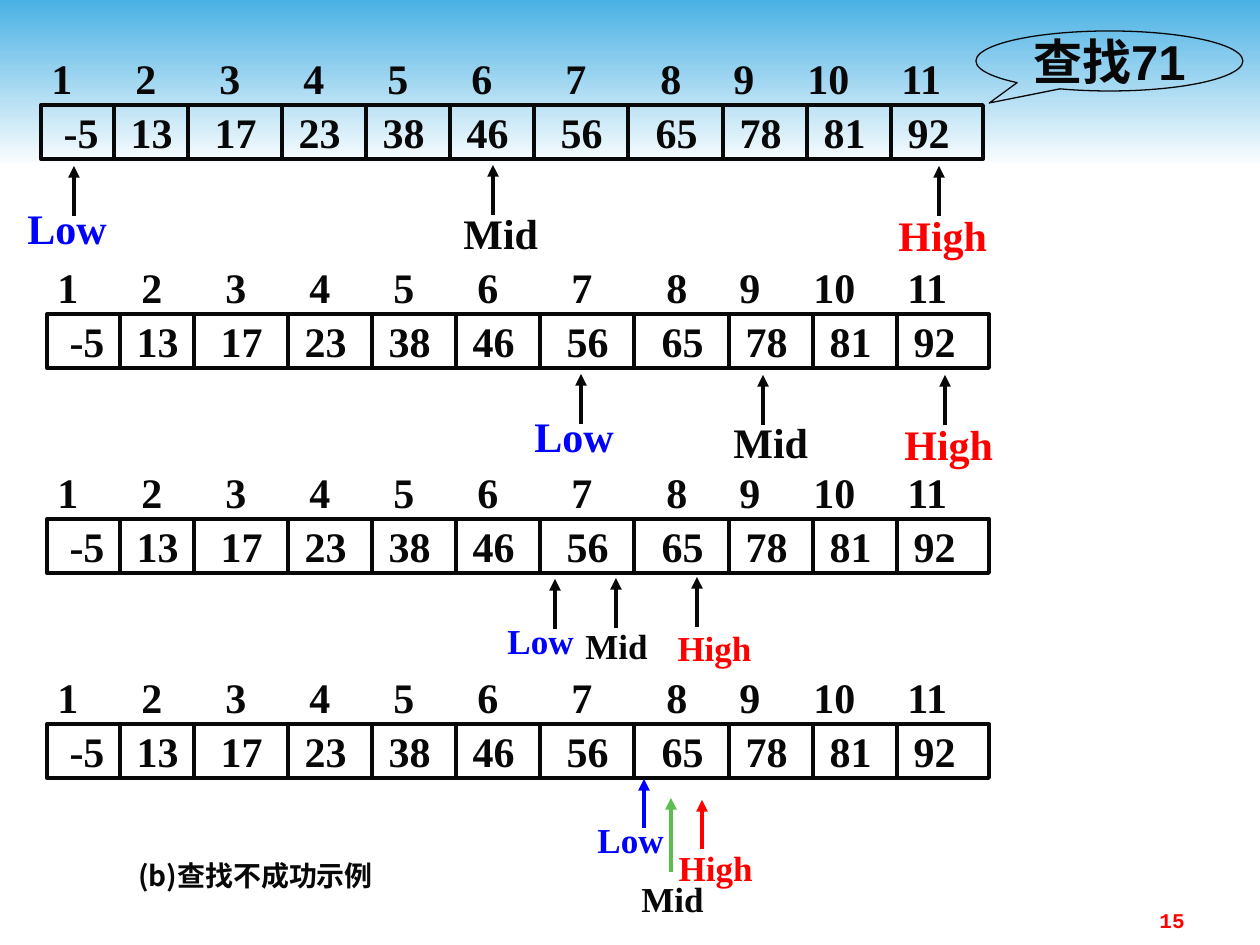
from dataclasses import dataclass

from pptx import Presentation
from pptx import util as u
from pptx.dml.color import RGBColor
from pptx.enum import shapes, text
from pptx.oxml.ns import qn
from lxml import etree

PX = 914400 / 126

INK = RGBColor(0x08, 0x08, 0x08)
BLUE = RGBColor(0x00, 0x00, 0xFF)
RED = RGBColor(0xFF, 0x00, 0x00)
GREEN = RGBColor(0x5B, 0xBE, 0x4E)
SKY = RGBColor(0x4A, 0xB1, 0xE4)
WHITE = RGBColor(0xFF, 0xFF, 0xFF)

SERIF, CJK = "Times New Roman", "Noto Sans CJK SC"

INDEXES = range(1, 12)
VALUES = (-5, 13, 17, 23, 38, 46, 56, 65, 78, 81, 92)
INDEX_TABS = (84, 168, 252, 336, 420, 514, 609, 682, 756, 850)
VALUE_TABS = (67, 151, 235, 319, 403, 497, 592, 676, 760, 844)
DIVIDERS = (73, 147, 241, 325, 409, 493, 587, 682, 766, 850)
ARRAY_WIDTH, ARRAY_HEIGHT = 942, 54
LABEL_HEIGHT, INDEX_RISE = 49, 52


@dataclass(frozen=True)
class Pointer:
    name: str
    left: int
    top: int
    arrow_x: int
    arrow_from: int
    arrow_to: int
    size: int = 24
    arrow_color: RGBColor = INK
    indent: int = 0


@dataclass(frozen=True)
class Step:
    left: int
    top: int
    pointers: tuple[Pointer, ...]


POINTER_COLORS = {"Low": BLUE, "Mid": INK, "High": RED}
POINTER_WIDTHS = {"Low": 108, "Mid": 104, "High": 124}

STEPS = (
    Step(41, 105, (
        Pointer("Mid", 451, 208, 493, 215, 165),
        Pointer("High", 886, 210, 939, 216, 166),
        Pointer("Low", 15, 203, 74, 216, 166),
    )),
    Step(47, 314, (
        Pointer("Mid", 721, 417, 763, 425, 375),
        Pointer("High", 892, 419, 945, 425, 375),
        Pointer("Low", 522, 411, 581, 424, 374),
    )),
    Step(47, 519, (
        Pointer("Mid", 573, 621, 616, 628, 578, 20),
        Pointer("High", 644, 623, 697, 627, 577, 20, indent=21),
        Pointer("Low", 495, 616, 555, 629, 579, 20),
    )),
    Step(47, 724, (
        Pointer("Mid", 629, 874, 671, 872, 798, 20, GREEN),
        Pointer("High", 649, 843, 702, 849, 800, 20, RED, indent=17),
        Pointer("Low", 585, 815, 644, 828, 779, 20, BLUE),
    )),
)


def px(length: int) -> int:
    return round(length * PX)


def apply_format(target, values: dict) -> None:
    for name, value in values.items():
        setattr(target, name, value)


def write(shape, words: str, size: int, color: RGBColor = INK, font: str = SERIF,
          align=text.PP_ALIGN.LEFT, indent: int = 0, wrap: bool = False,
          anchor=text.MSO_ANCHOR.MIDDLE, tabs: tuple[int, ...] = ()) -> None:
    frame = shape.text_frame
    apply_format(frame, {
        "word_wrap": wrap,
        "vertical_anchor": anchor,
        "margin_left": u.Inches(0.1) + px(indent),
        "margin_right": u.Inches(0.1),
        "margin_top": u.Inches(0.05),
        "margin_bottom": u.Inches(0.05),
    })
    paragraph = frame.paragraphs[0]
    paragraph.alignment = align
    if tabs:
        stops = etree.SubElement(paragraph._p.get_or_add_pPr(), qn("a:tabLst"))
        for stop in tabs:
            etree.SubElement(stops, qn("a:tab"), pos=str(px(stop)), algn="l")
    run = paragraph.add_run()
    run.text = words
    apply_format(run.font, {"size": u.Pt(size), "bold": True, "name": font})
    run.font.color.rgb = color
    if not words.isascii():
        etree.SubElement(run._r.get_or_add_rPr(), qn("a:ea"), typeface=CJK)


def add_label(slide, left: int, top: int, width: int, height: int,
              words: str, size: int, **style) -> None:
    label = slide.shapes.add_textbox(px(left), px(top), px(width), px(height))
    write(label, words, size, **style)


def add_outline(slide, kind, left: int, top: int, width: int, height: int, weight: float):
    outline = slide.shapes.add_shape(kind, px(left), px(top), px(width), px(height))
    outline.shadow.inherit = False
    outline.fill.background()
    outline.line.color.rgb = INK
    outline.line.width = u.Pt(weight)
    return outline


def add_vertical(slide, x: int, start: int, end: int,
                 color: RGBColor = INK, arrow: bool = False) -> None:
    line = slide.shapes.add_connector(
        shapes.MSO_CONNECTOR.STRAIGHT, px(x), px(start), px(x), px(end))
    line.line.color.rgb = color
    line.line.width = u.Pt(2.25)
    if arrow:
        etree.SubElement(line.line._get_or_add_ln(), qn("a:tailEnd"), type="triangle")
    etree.SubElement(line._element.spPr, qn("a:effectLst"))


def add_step(slide, step: Step) -> None:
    # Array cells
    array = add_outline(slide, shapes.MSO_SHAPE.RECTANGLE, step.left, step.top,
                        ARRAY_WIDTH, ARRAY_HEIGHT, 2.25)
    write(array, "\t".join(map(str, VALUES)), 24, indent=10, wrap=True, tabs=VALUE_TABS)
    for offset in DIVIDERS:
        add_vertical(slide, step.left + offset, step.top, step.top + ARRAY_HEIGHT)

    # Index numbers above the cells
    add_label(slide, step.left - 2, step.top - INDEX_RISE, ARRAY_WIDTH, LABEL_HEIGHT,
              "\t".join(map(str, INDEXES)), 24, wrap=True, tabs=INDEX_TABS)

    # Low, Mid and High pointers
    for pointer in step.pointers:
        add_label(slide, pointer.left, pointer.top, POINTER_WIDTHS[pointer.name],
                  LABEL_HEIGHT, pointer.name, pointer.size,
                  color=POINTER_COLORS[pointer.name], indent=pointer.indent)
        add_vertical(slide, pointer.arrow_x, pointer.arrow_from, pointer.arrow_to,
                     pointer.arrow_color, arrow=True)


def main() -> None:
    deck = Presentation()
    deck.slide_width, deck.slide_height = u.Inches(10), u.Inches(7.5)
    slide = deck.slides.add_slide(deck.slide_layouts[6])

    # Sky band
    band = slide.shapes.add_shape(shapes.MSO_SHAPE.RECTANGLE, 0, 0, px(1260), px(168))
    band.shadow.inherit = False
    band.line.fill.background()
    band.fill.gradient()
    band.fill.gradient_angle = 270
    for stop, color in zip(band.fill.gradient_stops, (SKY, WHITE)):
        stop.color.rgb = color

    # Page number
    add_label(slide, 903, 901, 294, 34, "15", 12, color=RED, font="Courier New",
              align=text.PP_ALIGN.RIGHT, wrap=True, anchor=text.MSO_ANCHOR.TOP)

    # Search target
    target = add_outline(slide, shapes.MSO_SHAPE.OVAL_CALLOUT, 976, 31, 267, 60, 0.75)
    target.adjustments[0], target.adjustments[1] = -0.45, 0.7
    write(target, "查找71", 28, font="Arial", align=text.PP_ALIGN.CENTER)

    # Search steps
    for step in STEPS:
        add_step(slide, step)

    # Caption
    add_label(slide, 126, 848, 299, 54, "(b)查找不成功示例", 16, font=CJK)

    deck.save("out.pptx")


if __name__ == "__main__":
    main()
